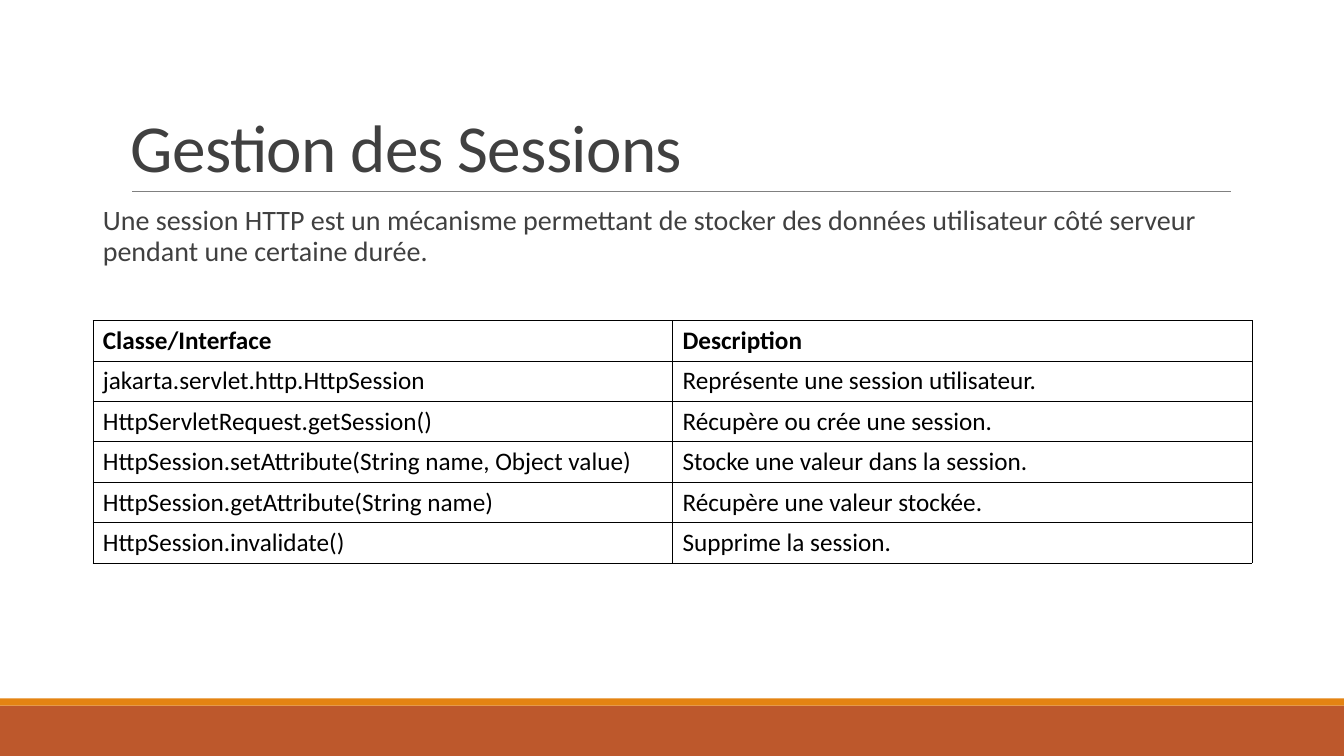
from dataclasses import dataclass

from lxml.etree import SubElement
from pptx import Presentation
from pptx.dml.color import RGBColor
from pptx.enum.shapes import MSO_CONNECTOR, MSO_SHAPE
from pptx.enum.text import MSO_ANCHOR
from pptx.oxml.ns import qn
from pptx.slide import Slide
from pptx.table import _Cell as Cell
from pptx.util import Inches, Pt

COLORS = {
    "band": "BD582C",
    "stripe": "E48312",
    "rule": "808080",
    "heading": "404040",
    "ink": "000000",
    "paper": "FFFFFF",
}
FONT = "Calibri"
PAGE_WIDTH, PAGE_HEIGHT = 13.33, 7.5
TABLE_LEFT, TABLE_TOP, TABLE_WIDTH, ROW_HEIGHT = 0.92, 3.18, 11.5, 0.4
BORDER_WIDTH = 0.25

ROWS = [
    ("Classe/Interface", "Description"),
    ("jakarta.servlet.http.HttpSession", "Représente une session utilisateur."),
    ("HttpServletRequest.getSession()", "Récupère ou crée une session."),
    ("HttpSession.setAttribute(String name, Object value)",
     "Stocke une valeur dans la session."),
    ("HttpSession.getAttribute(String name)", "Récupère une valeur stockée."),
    ("HttpSession.invalidate()", "Supprime la session."),
]


@dataclass
class Bar:
    top: float
    height: float
    color: str


@dataclass
class TextBlock:
    text: str
    left: float
    top: float
    width: float
    height: float
    size: float
    line_spacing: float
    anchor: MSO_ANCHOR
    side_inset: float = 0.1
    tracking: float = 0


BARS = [Bar(7, 0.5, "band"), Bar(6.93, 0.07, "stripe")]
TEXTS = [
    TextBlock("Gestion des Sessions", 1.2, 0.31, 11, 1.59, 48, 0.85,
              MSO_ANCHOR.BOTTOM, tracking=-0.5),
    TextBlock("Une session HTTP est un mécanisme permettant de stocker des données "
              "utilisateur côté serveur pendant une certaine durée.",
              1.02, 2, 11.4, 1.11, 20, 0.9, MSO_ANCHOR.TOP, side_inset=0),
]


def rgb(name: str) -> RGBColor:
    return RGBColor.from_string(COLORS[name])


def style_font(para, size: float, color: str, bold: bool = False) -> None:
    para.font.name = FONT
    para.font.size = Pt(size)
    para.font.bold = bold
    para.font.color.rgb = rgb(color)


def draw_bar(page: Slide, bar: Bar) -> None:
    box = page.shapes.add_shape(MSO_SHAPE.RECTANGLE, 0, Inches(bar.top),
                                Inches(PAGE_WIDTH), Inches(bar.height))
    box.shadow.inherit = False
    box.fill.solid()
    box.fill.fore_color.rgb = rgb(bar.color)
    box.line.fill.background()


def draw_rule(page: Slide) -> None:
    rule = page.shapes.add_connector(MSO_CONNECTOR.STRAIGHT, Inches(1.31), Inches(1.9),
                                     Inches(12.21), Inches(1.9))
    rule.line.color.rgb = rgb("rule")
    rule.line.width = Pt(0.5)
    SubElement(rule._element.spPr, qn("a:effectLst"))


def draw_text(page: Slide, block: TextBlock) -> None:
    box = page.shapes.add_textbox(Inches(block.left), Inches(block.top),
                                  Inches(block.width), Inches(block.height))
    frame = box.text_frame
    frame.word_wrap = True
    frame.vertical_anchor = block.anchor
    frame.margin_left = frame.margin_right = Inches(block.side_inset)
    para = frame.paragraphs[0]
    para.line_spacing = block.line_spacing
    span = para.add_run()
    span.text = block.text
    style_font(para, block.size, "heading")
    if block.tracking:
        span.font._element.set("spc", str(int(block.tracking * 100)))


def draw_borders(cell: Cell) -> None:
    properties = cell._tc.get_or_add_tcPr()
    for index, side in enumerate(("lnL", "lnR", "lnT", "lnB")):
        line = properties.makeelement(qn(f"a:{side}"), {"w": str(Pt(BORDER_WIDTH))})
        fill = SubElement(line, qn("a:solidFill"))
        SubElement(fill, qn("a:srgbClr"), val=COLORS["ink"])
        properties.insert(index, line)


def draw_table(page: Slide) -> None:
    table = page.shapes.add_table(
        len(ROWS), len(ROWS[0]), Inches(TABLE_LEFT), Inches(TABLE_TOP),
        Inches(TABLE_WIDTH), Inches(ROW_HEIGHT * len(ROWS))).table
    table.horz_banding = False
    for row_index, texts in enumerate(ROWS):
        for column_index, text in enumerate(texts):
            cell = table.cell(row_index, column_index)
            cell.text = text
            cell.vertical_anchor = MSO_ANCHOR.MIDDLE
            cell.fill.solid()
            cell.fill.fore_color.rgb = rgb("paper")
            style_font(cell.text_frame.paragraphs[0], 18, "ink", bold=row_index == 0)
            draw_borders(cell)


def main() -> None:
    deck = Presentation()
    deck.slide_width, deck.slide_height = Inches(PAGE_WIDTH), Inches(PAGE_HEIGHT)
    page = deck.slides.add_slide(deck.slide_layouts[6])

    # Footer bands and title rule
    for bar in BARS:
        draw_bar(page, bar)
    draw_rule(page)

    # Title and introduction
    for block in TEXTS:
        draw_text(page, block)

    # Session classes and methods
    draw_table(page)
    deck.save("out.pptx")


if __name__ == "__main__":
    main()
